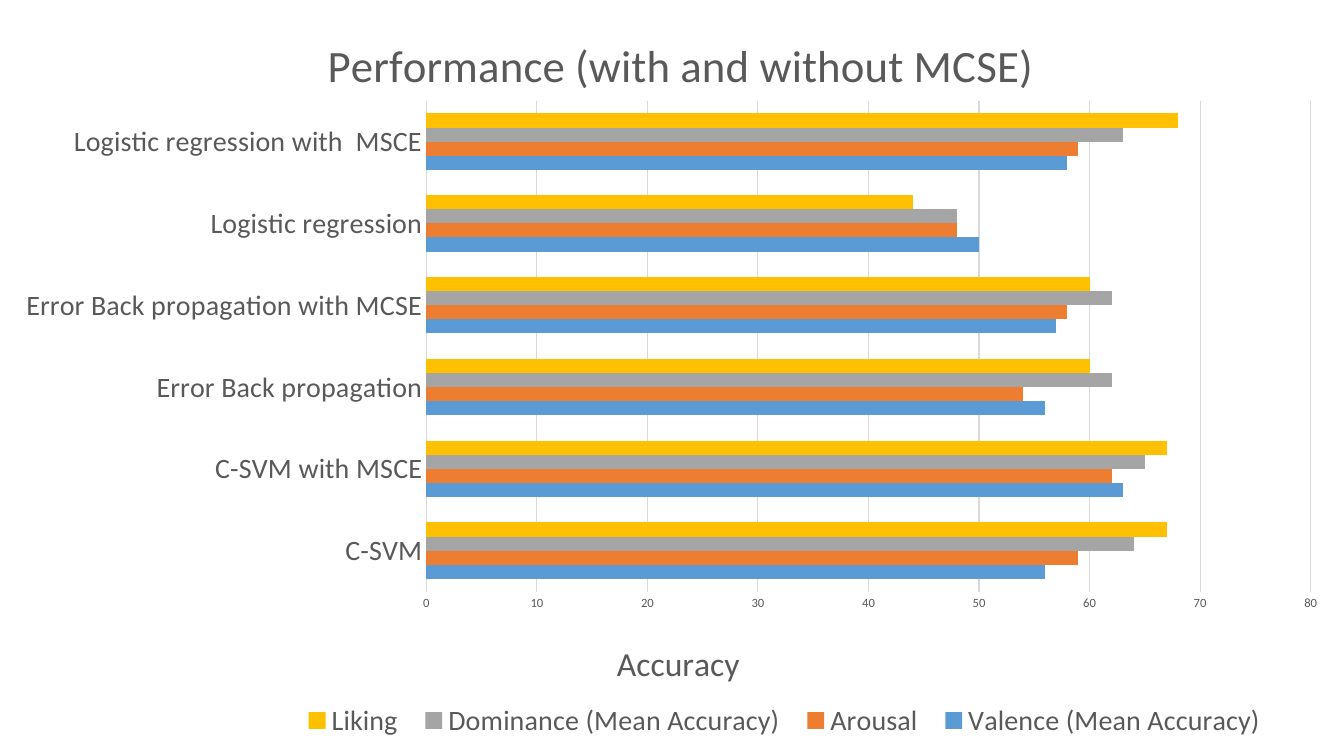
"""Build a slide with a bar chart comparing classifier accuracy."""
from dataclasses import dataclass

from lxml.etree import SubElement
from pptx import Presentation
from pptx.chart.data import CategoryChartData
from pptx.dml.color import RGBColor
from pptx.enum.chart import XL_CHART_TYPE, XL_LEGEND_POSITION, XL_TICK_MARK
from pptx.oxml.ns import qn
from pptx.util import Inches, Pt

TITLE = "Performance (with and without MCSE)"
AXIS_TITLE = "Accuracy"
METHODS = [
    "C-SVM",
    "C-SVM with MSCE",
    "Error Back propagation",
    "Error Back propagation with MCSE",
    "Logistic regression",
    "Logistic regression with  MSCE",
]
SERIES = [
    ("Valence (Mean Accuracy)", (56, 63, 56, 57, 50, 58), "5B9BD5"),
    ("Arousal", (59, 62, 54, 58, 48, 59), "ED7D31"),
    ("Dominance (Mean Accuracy)", (64, 65, 62, 62, 48, 63), "A5A5A5"),
    ("Liking", (67, 67, 60, 60, 44, 68), "FFC000"),
]
SLIDE_W, SLIDE_H = 13.33, 7.5
PLOT_BOX = (4.23, 1, 8.77, 4.87)
LEGEND_BOX = (2.88, 6.94, 9.8, 0.42)
TITLE_POS = (3.17, 0.26)
AXIS_TITLE_POS = (6.06, 6.3)


@dataclass(frozen=True)
class Theme:
    font: str = "Calibri"
    text: str = "595959"
    rule: str = "D9D9D9"
    title: int = 32
    axis_title: int = 24
    label: int = 20
    tick: int = 9
    line: float = 0.75


THEME = Theme()


def style_font(font, size):
    font.name = THEME.font
    font.size = Pt(size)
    font.bold = False
    font.color.rgb = RGBColor.from_string(THEME.text)


def style_line(line):
    line.color.rgb = RGBColor.from_string(THEME.rule)
    line.width = Pt(THEME.line)


def set_title(title, text, size):
    tf = title.text_frame
    tf.text = text
    style_font(tf.paragraphs[0].runs[0].font, size)


def place(element, index, box, inner=False):
    for old in element.findall(qn("c:layout")):
        element.remove(old)
    layout = SubElement(element, qn("c:layout"))
    element.insert(index, layout)
    manual = SubElement(layout, qn("c:manualLayout"))
    entries = [("layoutTarget", "inner")] if inner else []
    entries += [("xMode", "edge"), ("yMode", "edge")]
    extents = (SLIDE_W, SLIDE_H) * 2
    entries += [(key, f"{length / extent:.4f}")
                for key, length, extent in zip("xywh", box, extents)]
    for tag, value in entries:
        SubElement(manual, qn(f"c:{tag}")).set("val", value)


def add_performance_chart(s):
    data = CategoryChartData()
    data.categories = METHODS
    for name, values, _ in SERIES:
        data.add_series(name, values)
    chart = s.shapes.add_chart(
        XL_CHART_TYPE.BAR_CLUSTERED, 0, 0, Inches(SLIDE_W), Inches(SLIDE_H), data
    ).chart
    style_font(chart.font, THEME.label)

    plot = chart.plots[0]
    plot.gap_width = 182
    plot.overlap = 0
    plot.vary_by_categories = False
    for series, (_, _, color) in zip(plot.series, SERIES):
        series.format.fill.solid()
        series.format.fill.fore_color.rgb = RGBColor.from_string(color)
        series.invert_if_negative = False

    methods, accuracy = chart.category_axis, chart.value_axis
    for axis, size in ((methods, THEME.label), (accuracy, THEME.tick)):
        axis.major_tick_mark = axis.minor_tick_mark = XL_TICK_MARK.NONE
        style_font(axis.tick_labels.font, size)
    style_line(methods.format.line)
    methods.has_major_gridlines = False
    accuracy.minimum_scale, accuracy.maximum_scale = 0, 80
    accuracy.major_unit = 10
    accuracy.format.line.fill.background()
    accuracy.has_major_gridlines = True
    style_line(accuracy.major_gridlines.format.line)

    chart.has_title = True
    set_title(chart.chart_title, TITLE, THEME.title)
    chart.chart_title.include_in_layout = False
    set_title(accuracy.axis_title, AXIS_TITLE, THEME.axis_title)
    chart.has_legend = True
    chart.legend.position = XL_LEGEND_POSITION.BOTTOM
    chart.legend.include_in_layout = False
    style_font(chart.legend.font, THEME.label)

    place(chart.chart_title._element, 1, TITLE_POS)
    place(accuracy.axis_title._element, 1, AXIS_TITLE_POS)
    place(chart.legend._element, 1, LEGEND_BOX)
    place(chart._chartSpace.chart.plotArea, 0, PLOT_BOX, inner=True)


def main():
    prs = Presentation()
    prs.slide_width, prs.slide_height = Inches(SLIDE_W), Inches(SLIDE_H)
    s = prs.slides.add_slide(prs.slide_layouts[6])
    add_performance_chart(s)
    prs.save("out.pptx")


if __name__ == "__main__":
    main()
